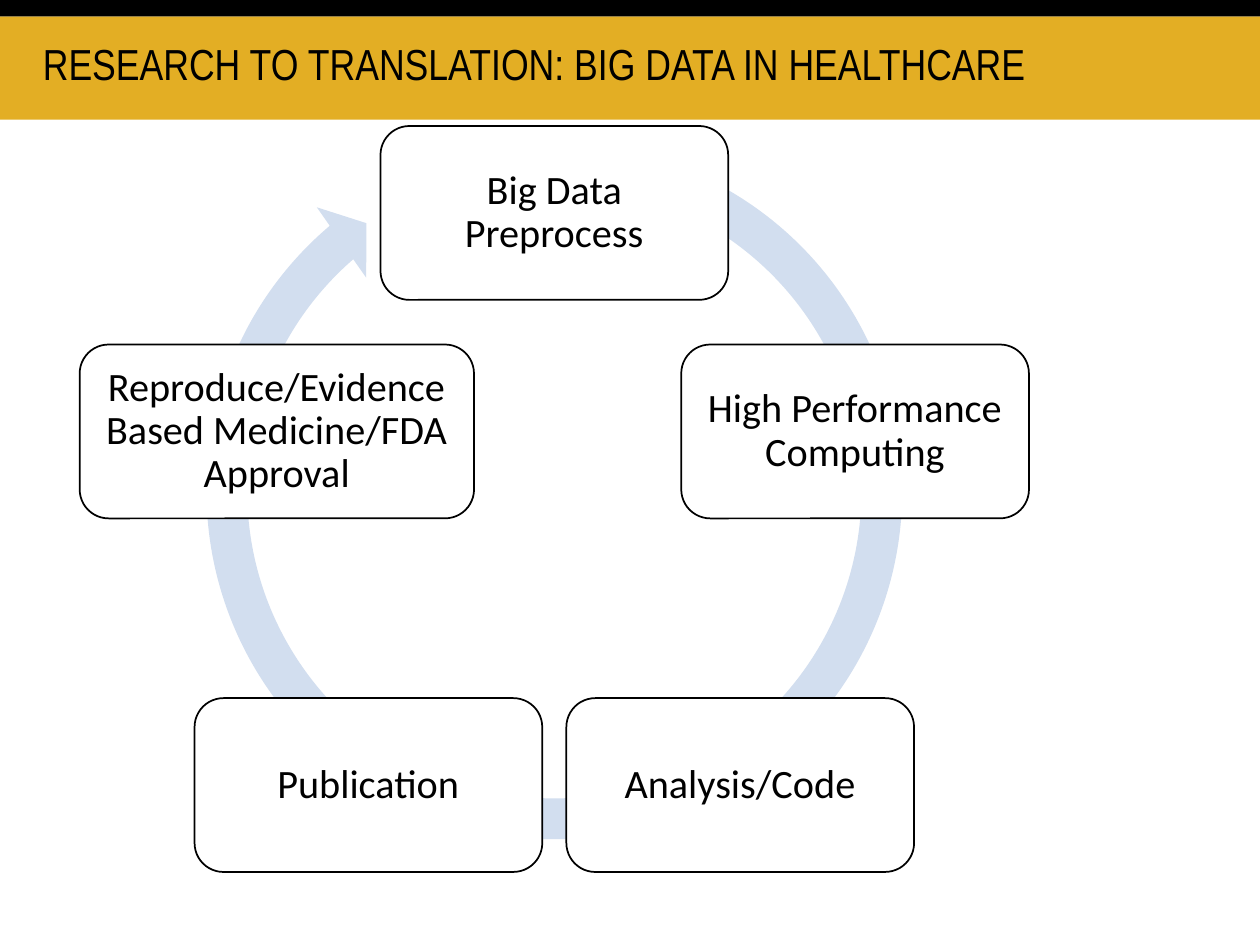
from dataclasses import dataclass
from math import cos, pi, sin

from pptx import Presentation
from pptx.dml.color import RGBColor
from pptx.enum.shapes import MSO_SHAPE
from pptx.enum.text import MSO_ANCHOR, MSO_AUTO_SIZE, PP_ALIGN
from pptx.shapes.autoshape import Shape
from pptx.slide import Slide
from pptx.util import Inches, Pt

BLACK = RGBColor(0x00, 0x00, 0x00)
WHITE = RGBColor(0xFF, 0xFF, 0xFF)
GOLD = RGBColor(0xE3, 0xAE, 0x24)
PALE_BLUE = RGBColor(0xD2, 0xDE, 0xEF)

# Lengths in inches
SLIDE_WIDTH, SLIDE_HEIGHT = 10, 7.5
STRIP_HEIGHT, BANNER_HEIGHT = 0.13, 0.82
CENTER_X, CENTER_Y = 4.4, 4.2
CYCLE_RADIUS = 2.51
CARD_WIDTH, CARD_HEIGHT = 2.76, 1.38
RING_BOX = (1.46, 0.96, 5.88, 5.88)
RING_ADJUSTMENTS = (0.055, 3.307, 137.676, 173.91, 0.058)

TITLE_FRAME = {
    "word_wrap": True,
    "auto_size": MSO_AUTO_SIZE.NONE,
    "vertical_anchor": MSO_ANCHOR.TOP,
}
TITLE_PARA = {"alignment": PP_ALIGN.LEFT, "line_spacing": 0.9}
TITLE_FONT = {"name": "Arial Narrow", "size": Pt(24.8)}

CARD_INSET = Inches(0.09)
CARD_FRAME = {
    "word_wrap": True,
    "vertical_anchor": MSO_ANCHOR.MIDDLE,
    "margin_left": CARD_INSET,
    "margin_right": CARD_INSET,
    "margin_top": CARD_INSET,
    "margin_bottom": CARD_INSET,
}
CARD_PARA = {"alignment": PP_ALIGN.CENTER, "line_spacing": 0.9}
CARD_FONT = {"name": "Calibri", "size": Pt(23)}


@dataclass(frozen=True)
class Step:
    text: str
    extra_width: float = 0


# Clockwise from the top
STEPS = (
    Step("Big Data Preprocess"),
    Step("High Performance Computing"),
    Step("Analysis/Code"),
    Step("Publication"),
    Step("Reproduce/Evidence Based Medicine/FDA Approval", extra_width=0.37),
)


def set_values(target: object, values: dict) -> None:
    for name, value in values.items():
        setattr(target, name, value)


def write_text(box: Shape, text: str, frame: dict, para: dict, font: dict) -> None:
    set_values(box.text_frame, frame)
    paragraph = box.text_frame.paragraphs[0]
    set_values(paragraph, para)
    span = paragraph.add_run()
    span.text = text
    set_values(span.font, font)
    span.font.color.rgb = BLACK


def add_filled(page: Slide, kind: MSO_SHAPE, box: tuple, color: RGBColor) -> Shape:
    shape = page.shapes.add_shape(kind, *(Inches(length) for length in box))
    shape.shadow.inherit = False
    shape.fill.solid()
    shape.fill.fore_color.rgb = color
    shape.line.fill.background()
    return shape


def add_header(page: Slide, text: str) -> None:
    title = page.shapes.title
    bands = (
        ((0, STRIP_HEIGHT, SLIDE_WIDTH, BANNER_HEIGHT), GOLD),
        ((0, 0, SLIDE_WIDTH, STRIP_HEIGHT), BLACK),
    )
    for box, color in bands:
        band = add_filled(page, MSO_SHAPE.RECTANGLE, box, color)
        title._element.addprevious(band._element)  # keep the title in front
    set_values(title, {"left": Inches(0.24), "top": Inches(0.29),
                       "width": Inches(8.96), "height": Inches(0.75)})
    write_text(title, text, TITLE_FRAME, TITLE_PARA, TITLE_FONT)


def add_ring(page: Slide) -> None:
    ring = add_filled(page, MSO_SHAPE.CIRCULAR_ARROW, RING_BOX, PALE_BLUE)
    for index, value in enumerate(RING_ADJUSTMENTS):
        ring.adjustments[index] = value


def add_step(page: Slide, step: Step, index: int) -> None:
    angle = 2 * pi * index / len(STEPS)
    left = CENTER_X + CYCLE_RADIUS * sin(angle) - CARD_WIDTH / 2
    top = CENTER_Y - CYCLE_RADIUS * cos(angle) - CARD_HEIGHT / 2
    box = (left, top, CARD_WIDTH + step.extra_width, CARD_HEIGHT)
    card = add_filled(page, MSO_SHAPE.ROUNDED_RECTANGLE, box, WHITE)
    card.line.color.rgb = BLACK
    card.line.width = Pt(1)
    write_text(card, step.text, CARD_FRAME, CARD_PARA, CARD_FONT)


def main() -> None:
    deck = Presentation()
    deck.slide_width = Inches(SLIDE_WIDTH)
    deck.slide_height = Inches(SLIDE_HEIGHT)
    page = deck.slides.add_slide(deck.slide_layouts.get_by_name("Title Only"))

    # Header bands and title
    add_header(page, "RESEARCH TO TRANSLATION: BIG DATA IN HEALTHCARE")

    # Cycle: ring behind, cards on top
    add_ring(page)
    for index, step in enumerate(STEPS):
        add_step(page, step, index)

    deck.save("out.pptx")


if __name__ == "__main__":
    main()
